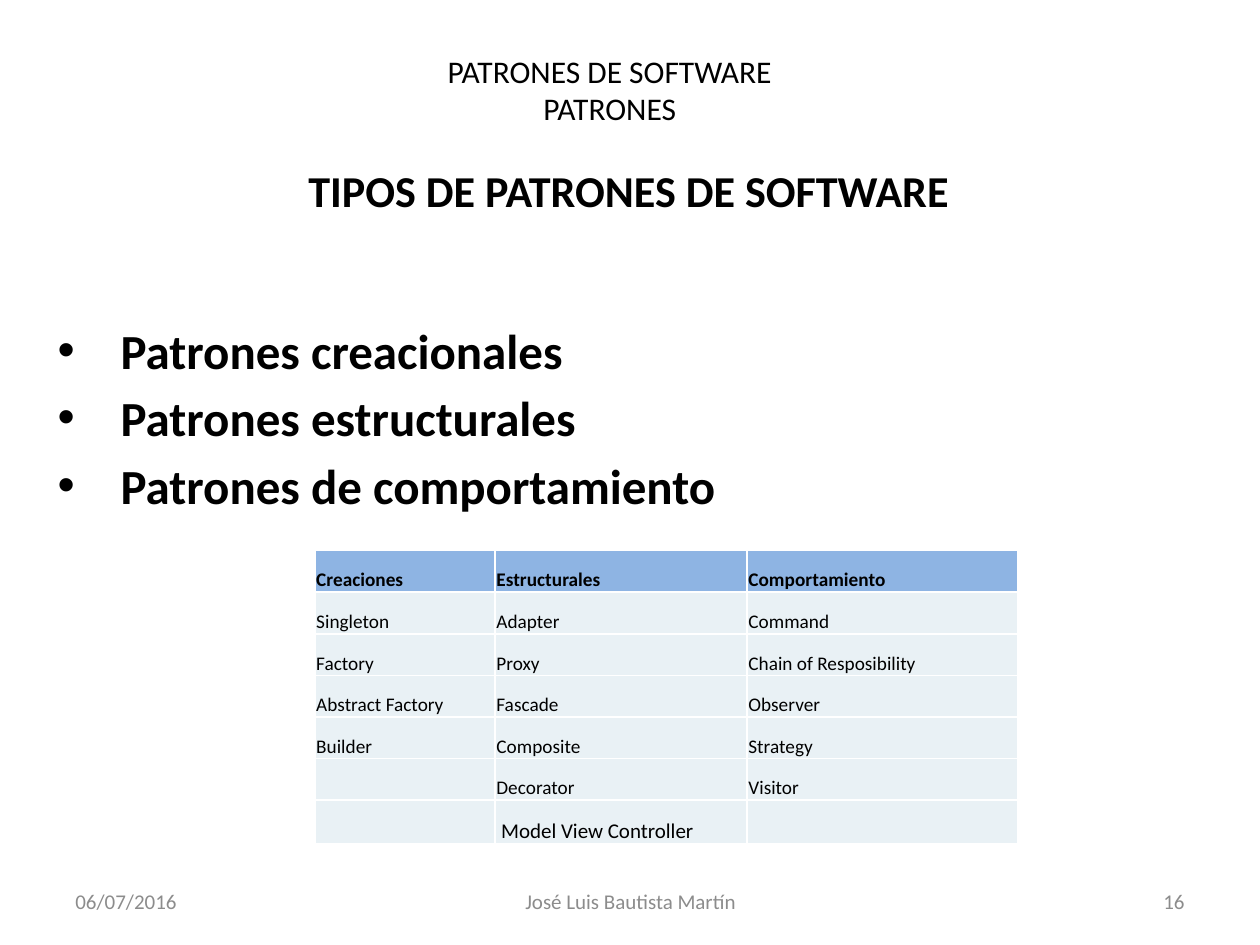
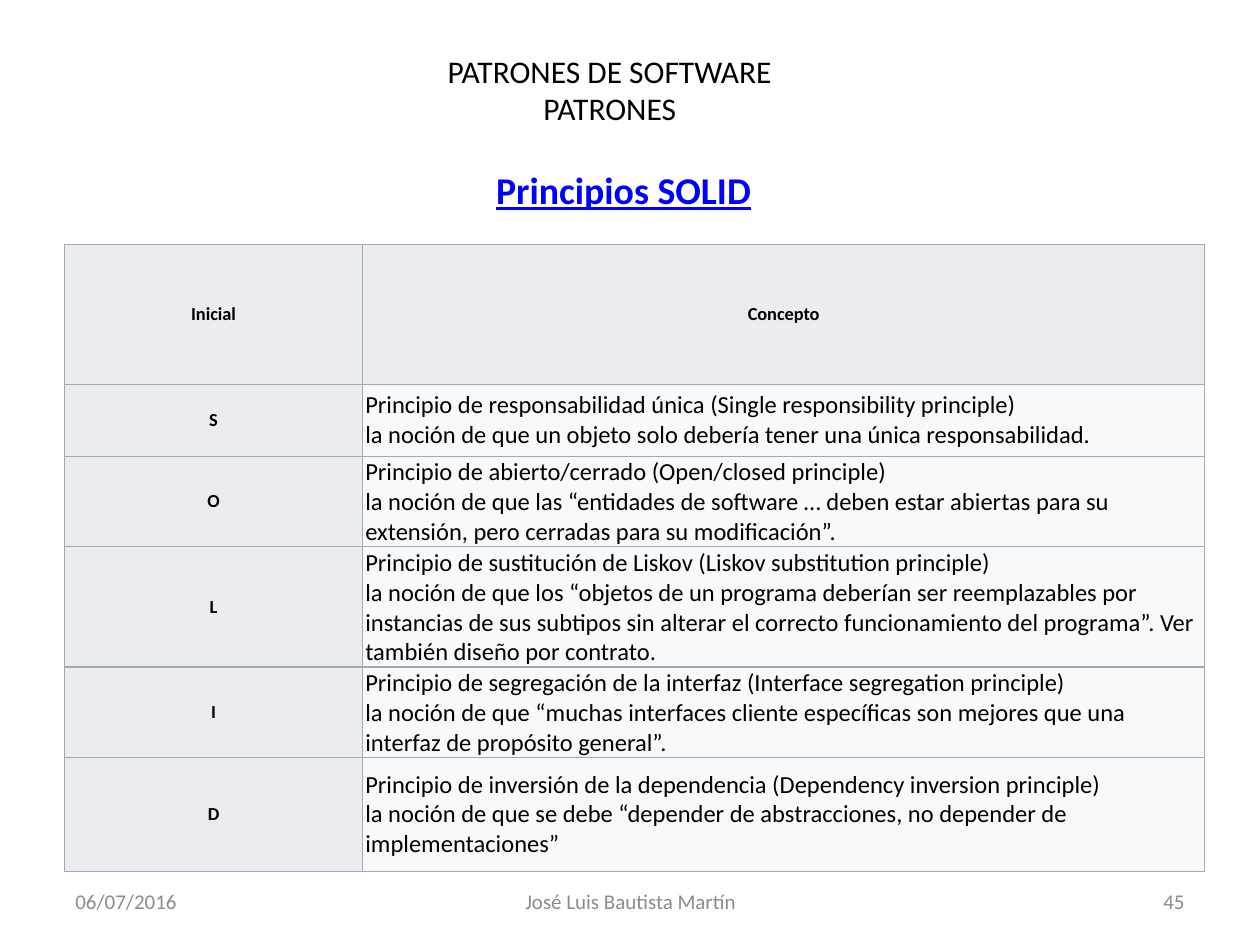
from lxml.etree import SubElement as Sub
from pptx import Presentation
from pptx.dml.color import RGBColor as RGB
from pptx.enum.text import MSO_ANCHOR as Anchor, MSO_AUTO_SIZE as Auto, PP_ALIGN as Align
from pptx.oxml.ns import qn
from pptx.util import Inches, Pt

FONT = "Calibri"
HEX = {
    "ink": "000000", "gray": "8C8C8C", "link": "0000FF", "white": "FFFFFF",
    "head": "8EB4E3", "body": "E9F1F5",
    "label": "EAECF0", "pale": "F8F9FA", "rule": "A2A9B1",
}

HEADER = ["PATRONES DE SOFTWARE", "PATRONES"]
DATE, AUTHOR = "06/07/2016", "José Luis Bautista Martín"

KINDS = ["Patrones creacionales", "Patrones estructurales", "Patrones de comportamiento"]
PATTERNS = [
    ("Creaciones", "Estructurales", "Comportamiento"),
    ("Singleton", "Adapter", "Command"),
    ("Factory", "Proxy", "Chain of Resposibility"),
    ("Abstract Factory", "Fascade", "Observer"),
    ("Builder", "Composite", "Strategy"),
    ("", "Decorator", "Visitor"),
    ("", " Model View Controller", ""),
]
SOLID = [
    ("Inicial", ["Concepto"]),
    ("S", ["Principio de responsabilidad única (Single responsibility principle)",
           "la noción de que un objeto solo debería tener una única responsabilidad."]),
    ("O", ["Principio de abierto/cerrado (Open/closed principle)",
           "la noción de que las “entidades de software … deben estar abiertas para su "
           "extensión, pero cerradas para su modificación”."]),
    ("L", ["Principio de sustitución de Liskov (Liskov substitution principle)",
           "la noción de que los “objetos de un programa deberían ser reemplazables por "
           "instancias de sus subtipos sin alterar el correcto funcionamiento del "
           "programa”. Ver también diseño por contrato."]),
    ("I", ["Principio de segregación de la interfaz (Interface segregation principle)",
           "la noción de que “muchas interfaces cliente específicas son mejores que una "
           "interfaz de propósito general”."]),
    ("D", ["Principio de inversión de la dependencia (Dependency inversion principle)",
           "la noción de que se debe “depender de abstracciones, no depender de "
           "implementaciones”"]),
]

# Text styles: font values, with the alignment apart
TITLE = {"size": Pt(25.2), "bold": True}
LINK = {"size": Pt(21.6), "bold": True, "underline": True}
TOP = {"size": Pt(18)}
FOOT = {"size": Pt(12)}
LIST = {"size": Pt(28), "bold": True}


def write(frame, lines, style, hue="ink", align=Align.LEFT):
    for i, line in enumerate(lines):
        par = frame.paragraphs[0] if i == 0 else frame.add_paragraph()
        par.alignment = align
        if not line:
            continue
        run = par.add_run()
        run.text = line
        for key, value in {"name": FONT, **style}.items():
            setattr(run.font, key, value)
        run.font.color.rgb = RGB.from_string(HEX[hue])


def add_text(slide, spot, lines, style, hue="ink", align=Align.LEFT, **form):
    frame = slide.shapes.add_textbox(*map(Inches, spot)).text_frame
    for key, value in {"word_wrap": True, **form}.items():
        setattr(frame, key, value)
    write(frame, lines, style, hue, align)
    return frame


def add_bullet(par, gap):
    """Hang the paragraph behind a round bullet."""
    props = par._p.get_or_add_pPr()
    props.set("marL", str(gap))
    props.set("indent", str(-gap))
    Sub(props, qn("a:buFont"), typeface="Arial")
    Sub(props, qn("a:buChar"), char="•")


def edge(cell, hue, width):
    """Draw all four borders; call before the fill is set."""
    props = cell._tc.get_or_add_tcPr()
    for side in ("lnL", "lnR", "lnT", "lnB"):
        line = Sub(props, qn("a:" + side), w=str(Pt(width)))
        Sub(Sub(line, qn("a:solidFill")), qn("a:srgbClr"), val=HEX[hue])


def add_grid(slide, left, top, cols, rows, data, look, line, pads, anchor):
    """look(row, col) gives the fill, font style and alignment of a cell."""
    table = slide.shapes.add_table(
        len(rows), len(cols), Inches(left), Inches(top),
        Inches(sum(cols)), Inches(sum(rows))).table
    for part, sizes, key in ((table.columns, cols, "width"), (table.rows, rows, "height")):
        for item, size in zip(part, sizes):
            setattr(item, key, Inches(size))
    sides = ("margin_left", "margin_top", "margin_right", "margin_bottom")
    form = dict(zip(sides, map(Inches, pads)), vertical_anchor=anchor)
    for r, row in enumerate(data):
        for c, text in enumerate(row):
            cell = table.cell(r, c)
            fill, style, align = look(r, c)
            edge(cell, *line)
            cell.fill.solid()
            cell.fill.fore_color.rgb = RGB.from_string(HEX[fill])
            for key, value in form.items():
                setattr(cell, key, value)
            lines = [text] if isinstance(text, str) else text
            write(cell.text_frame, lines, style, align=align)


def add_page(deck, title, style, hue, number):
    slide = deck.slides.add_slide(deck.slide_layouts[6])
    mid = {"vertical_anchor": Anchor.MIDDLE}
    add_text(slide, (0.45, 1.31, 9, 0.39), [title], style, hue, Align.CENTER,
             margin_top=0, margin_bottom=0, **mid)
    for left, width, text, align in (
            (0.5, 2.33, DATE, Align.LEFT),
            (3.42, 3.17, AUTHOR, Align.CENTER),
            (7.17, 2.33, number, Align.RIGHT)):
        add_text(slide, (left, 6.95, width, 0.4), [text], FOOT, "gray", align, **mid)
    add_text(slide, (1.61, 0.36, 6.46, 0.71), HEADER, TOP, align=Align.CENTER,
             auto_size=Auto.SHAPE_TO_FIT_TEXT)
    return slide


def pattern_look(r, c):
    size = 12 if r == len(PATTERNS) - 1 else 11
    return "body" if r else "head", {"size": Pt(size), "bold": r == 0}, Align.LEFT


def solid_look(r, c):
    if r == 0 or c == 0:
        return "label", {"size": Pt(10.5), "bold": True}, Align.CENTER
    return "pale", {"size": Pt(14)}, Align.LEFT


def main():
    deck = Presentation()
    deck.slide_width, deck.slide_height = Inches(10), Inches(7.5)

    types = add_page(deck, " TIPOS DE PATRONES DE SOFTWARE", TITLE, "ink", "16")
    frame = add_text(types, (0.36, 1.94, 9.37, 4.88), KINDS, LIST, margin_top=Inches(0.6))
    for i, par in enumerate(frame.paragraphs):
        par.space_before = Pt(5 if i else 0)
        add_bullet(par, Inches(0.5))
    add_grid(types, 2.5, 4.37, [1.43, 2, 2.15], [0.33] * 6 + [0.35], PATTERNS,
             pattern_look, ("white", 1), (0.01, 0.01, 0.01, 0), Anchor.BOTTOM)

    solid = add_page(deck, "Principios SOLID", LINK, "link", "45")
    add_grid(solid, 0.51, 1.94, [2.37, 6.68], [1.11, 0.57, 0.72, 0.95, 0.72, 0.9], SOLID,
             solid_look, ("rule", 0.75), (0.02, 0.01, 0.02, 0.01), Anchor.MIDDLE)

    deck.save("out.pptx")


if __name__ == "__main__":
    main()
